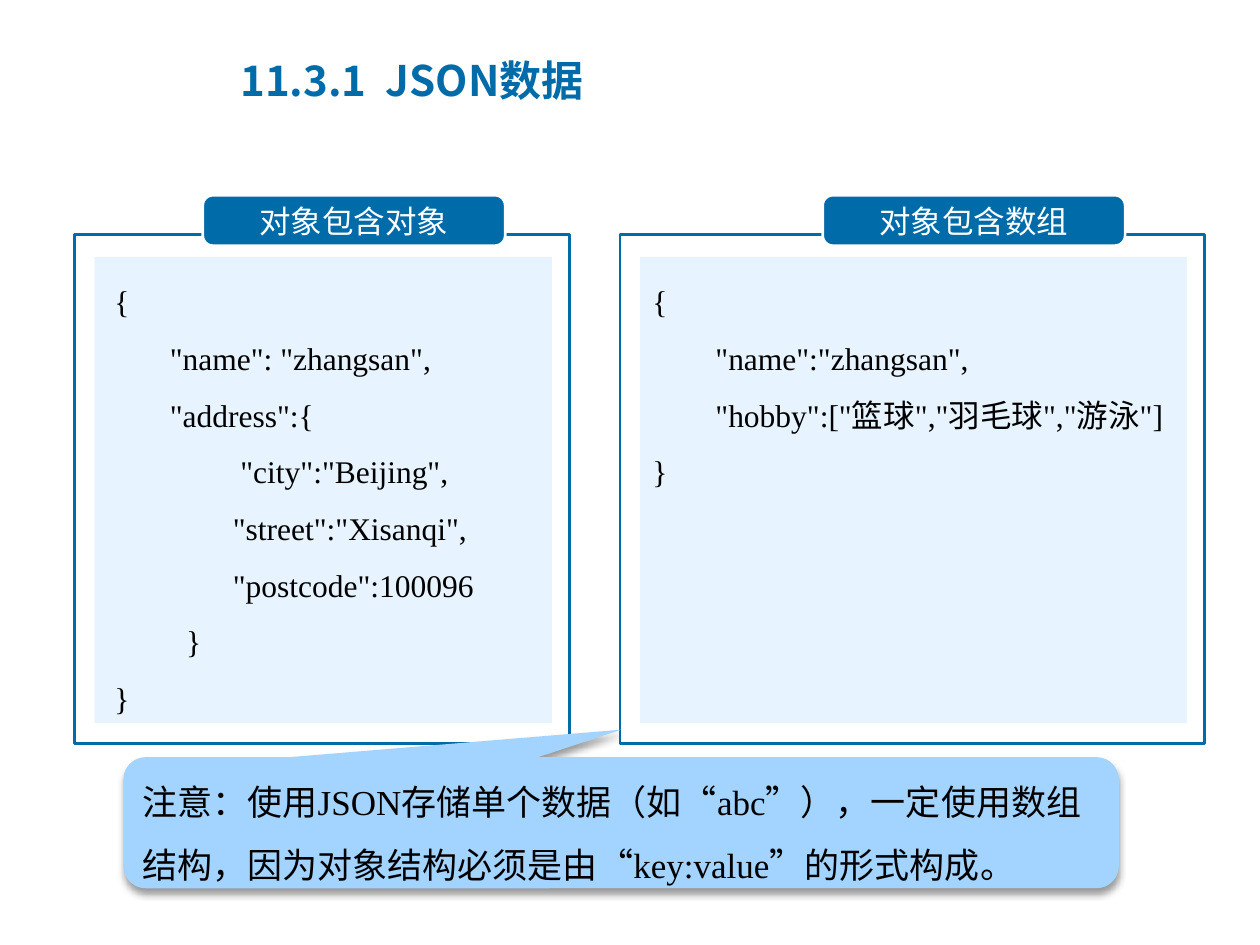
"""Builds the slide that compares two nested JSON forms."""
import pptx
import pptx.dml.color
import pptx.enum.shapes
import pptx.enum.text
import pptx.oxml
import pptx.oxml.ns
import pptx.util

Inches = pptx.util.Inches
Pt = pptx.util.Pt
Kind = pptx.enum.shapes.MSO_SHAPE
Align = pptx.enum.text.PP_ALIGN
Anchor = pptx.enum.text.MSO_ANCHOR

BLUE, PALE, SKY, WHITE, BLACK = "006BA9", "E7F4FF", "A3D3FF", "FFFFFF", "000000"
SANS, SERIF = "Noto Sans CJK SC", "Times New Roman"
SHADE = (
    f'<a:effectLst {pptx.oxml.ns.nsdecls("a")}>'
    '<a:outerShdw blurRad="50800" dist="38100" dir="5400000" algn="t" rotWithShape="0">'
    '<a:srgbClr val="000000"><a:alpha val="40000"/></a:srgbClr>'
    '</a:outerShdw></a:effectLst>'
)


def color(code):
    return pptx.dml.color.RGBColor.from_string(code)


class Deck:
    def __init__(self):
        self.prs = pptx.Presentation()
        self.prs.slide_width, self.prs.slide_height = Inches(10), Inches(7.5)
        self.slide = self.prs.slides.add_slide(self.prs.slide_layouts[6])

    def shape(self, kind, box, fill=None, line=None):
        item = self.slide.shapes.add_shape(kind, *map(Inches, box))
        item.shadow.inherit = False
        if fill:
            item.fill.solid()
            item.fill.fore_color.rgb = color(fill)
        else:
            item.fill.background()
        if line:
            item.line.color.rgb = color(line)
            item.line.width = Pt(1.5)
        else:
            item.line.fill.background()
        return item

    def font(self, run, size, name, code, bold=False):
        run.font.size = Pt(size)
        run.font.name = name
        run.font.bold = bold
        run.font.color.rgb = color(code)
        east = run._r.get_or_add_rPr().makeelement(pptx.oxml.ns.qn("a:ea"), {"typeface": SANS})
        run.font._element.find(pptx.oxml.ns.qn("a:latin")).addnext(east)

    def title(self, text, box):
        frame = self.slide.shapes.add_textbox(*map(Inches, box)).text_frame
        frame.word_wrap = True
        frame.vertical_anchor = Anchor.MIDDLE
        frame.text = text
        self.font(frame.paragraphs[0].runs[0], 24, SANS, BLUE, True)

    def tab(self, text, box):
        item = self.shape(Kind.ROUNDED_RECTANGLE, box, BLUE, WHITE)
        item.adjustments[0] = 0.2
        frame = item.text_frame
        frame.vertical_anchor = Anchor.MIDDLE
        frame.text = text
        frame.paragraphs[0].alignment = Align.CENTER
        self.font(frame.paragraphs[0].runs[0], 18, SANS, WHITE)

    def code(self, lines, box):
        frame = self.shape(Kind.RECTANGLE, box, PALE).text_frame
        frame.vertical_anchor = Anchor.TOP
        frame.text = "\n".join(text for _, text in lines)
        for para, (indent, _) in zip(frame.paragraphs, lines):
            para.alignment = Align.LEFT
            para.line_spacing = 1.5
            props = para._p.get_or_add_pPr()
            props.set("marL", "0")
            props.set("indent", str(Inches(indent)))
            self.font(para.runs[0], 18, SERIF, BLACK)

    def panel(self, left, width, head, tab, lines):
        self.shape(Kind.RECTANGLE, (left, 1.86, width, 4.04), line=BLUE)
        self.tab(head, (tab, 1.55, 2.4, 0.4))
        self.code(lines, (left + 0.16, 2.04, width - 0.3, 3.7))

    def note(self, parts, box):
        item = self.shape(Kind.ROUNDED_RECTANGULAR_CALLOUT, box, SKY)
        for spot, value in enumerate((0, -0.71, 0.17)):
            item.adjustments[spot] = value
        props = item._element.spPr
        old = props.find(pptx.oxml.ns.qn("a:effectLst"))
        props.replace(old, pptx.oxml.parse_xml(SHADE))
        frame = item.text_frame
        frame.vertical_anchor = Anchor.MIDDLE
        para = frame.paragraphs[0]
        para.alignment = Align.LEFT
        para.line_spacing = 1.5
        for text, name in parts:
            run = para.add_run()
            run.text = text
            self.font(run, 20, name, BLACK)


def main():
    deck = Deck()
    deck.panel(0.59, 3.93, "对象包含对象", 1.61, [
        (0.06, '{'),
        (0.5, '"name": "zhangsan",'),
        (0.5, '"address":{'),
        (1.06, '"city":"Beijing",'),
        (1, '"street":"Xisanqi",'),
        (1, '"postcode":100096'),
        (0.63, '}'),
        (0.06, '}'),
    ])
    deck.panel(4.92, 4.64, "对象包含数组", 6.53, [
        (0, '{'),
        (0.5, '"name":"zhangsan",'),
        (0.5, '"hobby":["篮球","羽毛球","游泳"]'),
        (0, '}'),
    ])
    deck.note([
        ("注意：", "Arial"),
        ("使用JSON存储单个数据（如“abc”），一定使用数组结构，"
         "因为对象结构必须是由“key:value”的形式", SERIF),
        ("构成。", "Arial"),
    ], (0.98, 6.01, 7.9, 1.04))
    deck.title("11.3.1  JSON数据", (1.81, 0.21, 5.63, 0.84))
    deck.prs.save("out.pptx")


if __name__ == "__main__":
    main()
